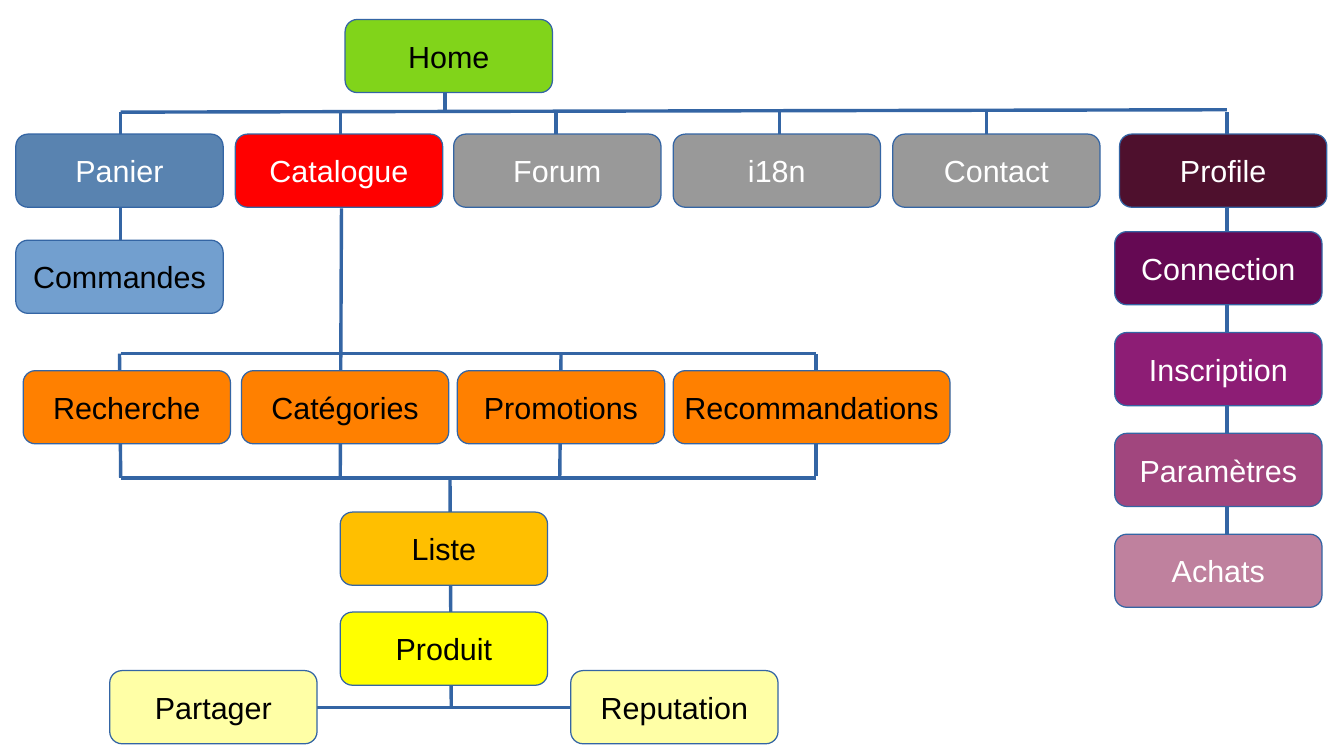
from pptx import Presentation
from pptx.dml.color import RGBColor
from pptx.enum.shapes import MSO_CONNECTOR, MSO_SHAPE
from pptx.enum.text import MSO_ANCHOR, PP_ALIGN
from pptx.oxml.ns import qn
from pptx.util import Inches, Pt
from lxml import etree

BOX = MSO_SHAPE.FLOWCHART_ALTERNATE_PROCESS
STRAIGHT = MSO_CONNECTOR.STRAIGHT
MIDDLE = MSO_ANCHOR.MIDDLE
CENTER = PP_ALIGN.CENTER

EDGE = RGBColor(0x34, 0x65, 0xA4)
WHITE = RGBColor(0xFF, 0xFF, 0xFF)
BLACK = RGBColor(0x00, 0x00, 0x00)
GREEN = RGBColor(0x81, 0xD4, 0x1A)
RED = RGBColor(0xFF, 0x00, 0x00)
STEEL = RGBColor(0x59, 0x83, 0xB0)
BLUE = RGBColor(0x72, 0x9F, 0xCF)
GRAY = RGBColor(0x99, 0x99, 0x99)
ORANGE = RGBColor(0xFF, 0x80, 0x00)
AMBER = RGBColor(0xFF, 0xBF, 0x00)
YELLOW = RGBColor(0xFF, 0xFF, 0x00)
CREAM = RGBColor(0xFF, 0xFF, 0xA6)
WINE = RGBColor(0x4E, 0x10, 0x2D)
PLUM = RGBColor(0x65, 0x09, 0x53)
PURPLE = RGBColor(0x8D, 0x1D, 0x75)
MAUVE = RGBColor(0xA1, 0x46, 0x7E)
PINK = RGBColor(0xBF, 0x81, 0x9E)

WIDTH, HEIGHT = 1.7, 0.6
MENU_TOP, SHOP_TOP, SHARE_TOP = 1.1, 3.04, 5.5
MENU_BUS, SHOP_BUS, LIST_BUS = 0.92, 2.9, 3.92
USER_LEFT, USER_TOP, USER_STEP = 9.14, 1.9, 0.827

MENU = [
    ("Panier", 0.13, STEEL),
    ("Catalogue", 1.93, RED),
    ("Forum", 3.72, GRAY),
    ("i18n", 5.52, GRAY),
    ("Contact", 7.32, GRAY),
    ("Profile", 9.18, WINE),
]
SHOP = [
    ("Recherche", 0.19, WIDTH),
    ("Catégories", 1.98, WIDTH),
    ("Promotions", 3.75, WIDTH),
    ("Recommandations", 5.52, 2.27),
]
USER = [
    ("Connection", PLUM),
    ("Inscription", PURPLE),
    ("Paramètres", MAUVE),
    ("Achats", PINK),
]
SHARE = [("Partager", 0.9), ("Reputation", 4.68)]
LINES = [
    (0.99, MENU_BUS, 10.06, 0.9),
    (3.65, MENU_BUS, 3.65, 0.64),
    (0.99, 1.99, 0.99, 1.71),
    (2.79, LIST_BUS, 2.8, 1.71),
    (0.99, SHOP_BUS, 6.69, SHOP_BUS),
    (0.99, LIST_BUS, 0.98, SHOP_BUS),
    (4.59, LIST_BUS, 4.6, SHOP_BUS),
    (6.69, 3.9, 6.69, SHOP_BUS),
    (0.99, LIST_BUS, 6.69, LIST_BUS),
    (3.7, 5.8, 3.69, LIST_BUS),
    (2.6, 5.8, 4.68, 5.8),
    (10.06, 4.5, 10.06, MENU_BUS),
]
DROPS = [(0.99, 1.2), (2.79, 1.2), (4.56, 1.19), (6.39, 1.2), (8.09, 1.2)]


def set_edge(line):
    line.color.rgb = EDGE
    line.width = Pt(0)


def add_line(slide, x1, y1, x2, y2):
    line = slide.shapes.add_connector(
        STRAIGHT, Inches(x1), Inches(y1), Inches(x2), Inches(y2))
    set_edge(line.line)
    etree.SubElement(line._element.spPr, qn("a:effectLst"))


def add_box(slide, text, left, top, fill, color=BLACK, width=WIDTH):
    box = slide.shapes.add_shape(
        BOX, Inches(left), Inches(top), Inches(width), Inches(HEIGHT))
    box.shadow.inherit = False
    box.fill.solid()
    box.fill.fore_color.rgb = fill
    set_edge(box.line)
    frame = box.text_frame
    frame.word_wrap = False
    frame.vertical_anchor = MIDDLE
    frame.text = text
    label = frame.paragraphs[0]
    label.alignment = CENTER
    font = label.runs[0].font
    font.name = "Arial"
    font.size = Pt(18)
    font.color.rgb = color


def add_links(slide):
    for ends in LINES:
        add_line(slide, *ends)
    for x, foot in DROPS:
        add_line(slide, x, foot, x, foot - 0.28)


def add_pages(slide):
    add_box(slide, "Home", 2.83, 0.16, GREEN)
    for text, left, fill in MENU:
        add_box(slide, text, left, MENU_TOP, fill, WHITE)
    add_box(slide, "Commandes", 0.13, 1.97, BLUE)
    for text, left, width in SHOP:
        add_box(slide, text, left, SHOP_TOP, ORANGE, width=width)
    add_box(slide, "Liste", 2.79, 4.2, AMBER)
    add_box(slide, "Produit", 2.79, 5.02, YELLOW)
    for text, left in SHARE:
        add_box(slide, text, left, SHARE_TOP, CREAM)
    for row, (text, fill) in enumerate(USER):
        add_box(slide, text, USER_LEFT, USER_TOP + row * USER_STEP, fill, WHITE)


def main():
    """Build the site map slide."""
    deck = Presentation()
    deck.slide_width = Inches(11.02)
    deck.slide_height = Inches(6.2)
    slide = deck.slides.add_slide(deck.slide_layouts[6])
    add_links(slide)
    add_pages(slide)
    deck.save("out.pptx")


if __name__ == "__main__":
    main()
